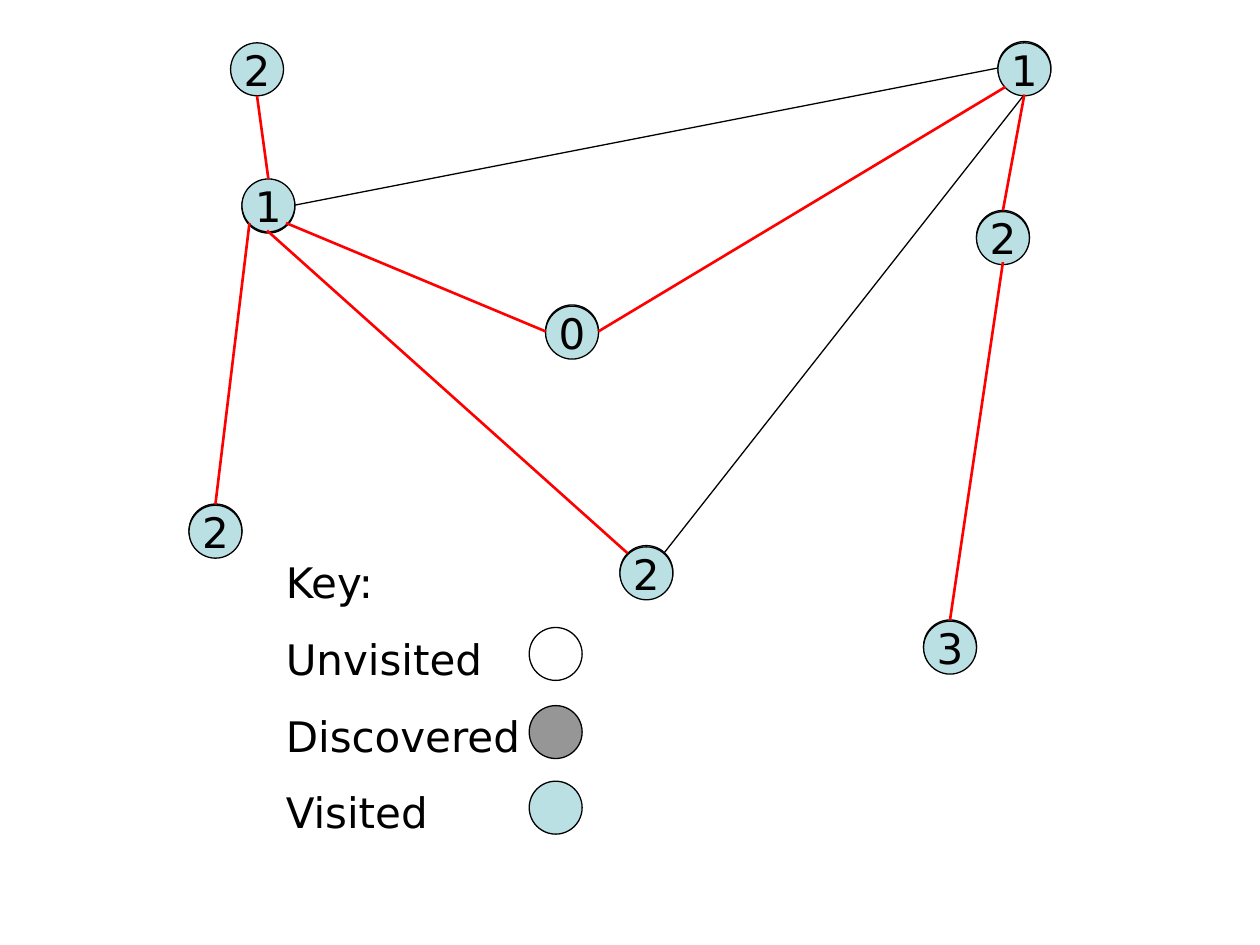
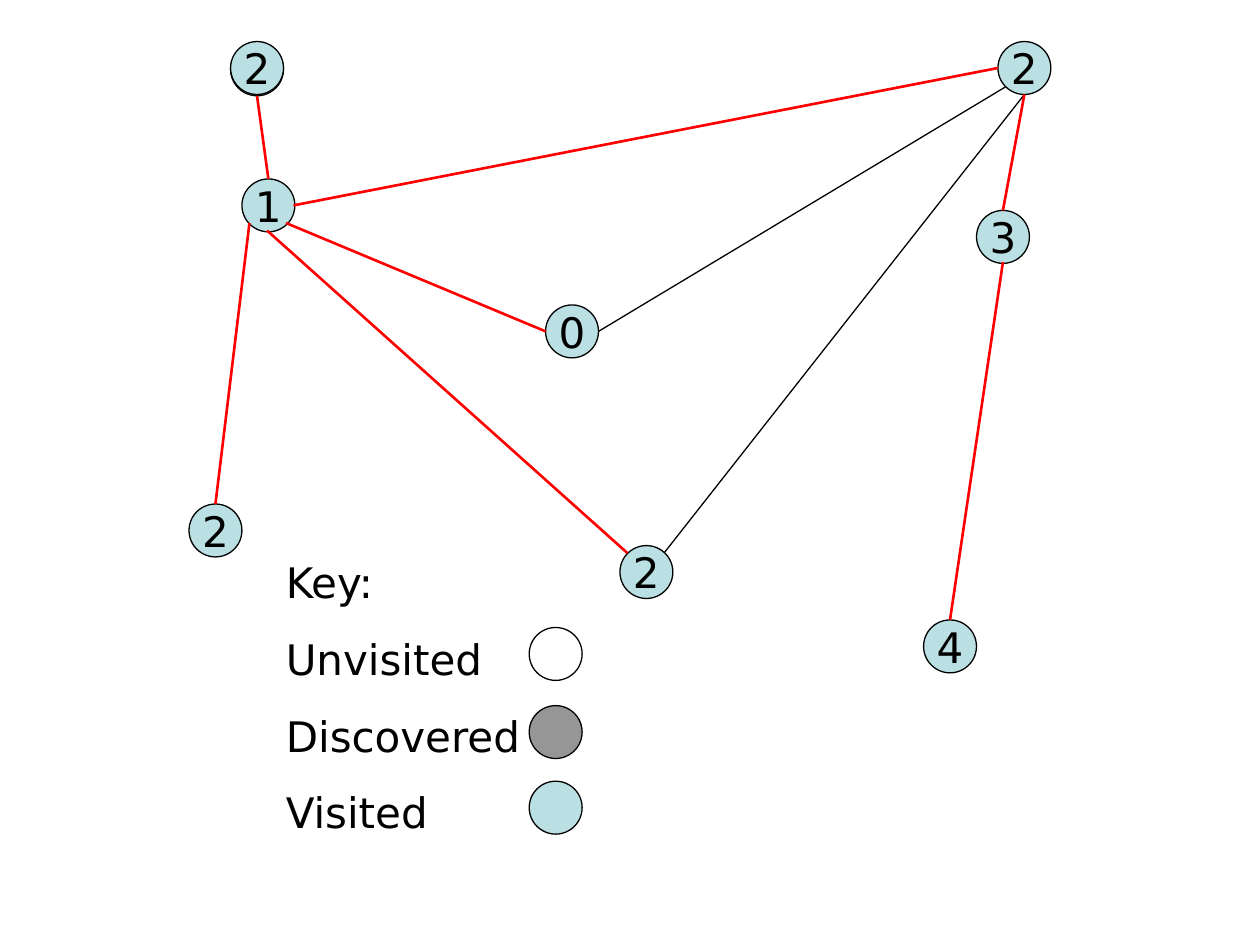
import pptx
import pptx.dml.color
import pptx.enum.shapes
import pptx.enum.text
import pptx.oxml.ns
import pptx.util
from lxml import etree

PX = 9144  # 100 px to the inch
BLACK = pptx.dml.color.RGBColor(0x00, 0x00, 0x00)
RED = pptx.dml.color.RGBColor(0xFF, 0x00, 0x00)
UNVISITED = pptx.dml.color.RGBColor(0xFF, 0xFF, 0xFF)
DISCOVERED = pptx.dml.color.RGBColor(0x96, 0x96, 0x96)
VISITED = pptx.dml.color.RGBColor(0xBB, 0xE0, 0xE3)
FONT = {"name": "DejaVu Sans", "size": pptx.util.Pt(24)}
DIAMETER = 42

NODES = {
    "start": (433, 242),
    "hub": (192, 142),
    "top left": (183, 33),
    "low left": (150, 400),
    "bottom": (492, 433),
    "top right": (792, 33),
    "right": (775, 167),
    "far": (733, 492),
}
EDGES = {
    ("hub", "bottom"): (212, 183, 498, 439),
    ("hub", "top right"): (233, 163, 792, 54),
    ("hub", "low left"): (198, 177, 171, 400),
    ("top right", "bottom"): (813, 75, 527, 439),
    ("hub", "start"): (227, 177, 433, 263),
    ("hub", "top left"): (213, 142, 204, 76),
    ("start", "top right"): (475, 263, 798, 69),
    ("top right", "right"): (813, 75, 796, 167),
    ("right", "far"): (796, 208, 754, 492),
}
KEY = [("Unvisited", UNVISITED, 498), ("Discovered", DISCOVERED, 560), ("Visited", VISITED, 620)]

# Distances from the start, edges outside the search tree, the nodes drawn
# 1 px lower, and the earlier states whose rims show behind the nodes.
SEARCHES = [
    {
        "distances": {"start": 0, "hub": 1, "top left": 2, "low left": 2,
                      "bottom": 2, "top right": 1, "right": 2, "far": 3},
        "unused": [("hub", "top right"), ("top right", "bottom")],
        "lowered": set(NODES) - {"hub"},
        "rims": {"start": UNVISITED, "top right": UNVISITED, "bottom": UNVISITED,
                 "far": UNVISITED, "right": UNVISITED, "hub": DISCOVERED,
                 "low left": DISCOVERED},
    },
    {
        "distances": {"start": 0, "hub": 1, "top left": 2, "low left": 2,
                      "bottom": 2, "top right": 2, "right": 3, "far": 4},
        "unused": [("start", "top right"), ("top right", "bottom")],
        "lowered": set(),
        "rims": {"top left": UNVISITED},
    },
]


def add_circle(page, left, top, color):
    circle = page.shapes.add_shape(
        pptx.enum.shapes.MSO_SHAPE.OVAL, left * PX, top * PX, DIAMETER * PX, DIAMETER * PX)
    circle.shadow.inherit = False
    circle.fill.solid()
    circle.fill.fore_color.rgb = color
    circle.line.color.rgb = BLACK
    circle.line.width = pptx.util.Pt(0.75)
    return circle


def write(para, text):
    span = para.add_run()
    span.text = text
    for name, value in FONT.items():
        setattr(span.font, name, value)
    span.font.color.rgb = BLACK


deck = pptx.Presentation()
deck.slide_width, deck.slide_height = 1000 * PX, 750 * PX

for search in SEARCHES:
    page = deck.slides.add_slide(deck.slide_layouts[6])
    tree = [edge for edge in EDGES if edge not in search["unused"]]

    for layer, color, width in ((search["unused"], BLACK, 0.75), (tree, RED, 1.5)):
        for edge in layer:
            line = page.shapes.add_connector(
                pptx.enum.shapes.MSO_CONNECTOR.STRAIGHT, *(length * PX for length in EDGES[edge]))
            line.line.color.rgb = color
            line.line.width = pptx.util.Pt(width)
            etree.SubElement(line._element.spPr, pptx.oxml.ns.qn("a:effectLst"))
        if layer is tree:
            continue

        # Nodes and key lie above the unused edges and below the tree.
        for node, state in search["rims"].items():
            left, top = NODES[node]
            add_circle(page, left, top + (node not in search["lowered"]), state)
        for node, (left, top) in NODES.items():
            circle = add_circle(page, left, top + (node in search["lowered"]), VISITED)
            frame = circle.text_frame
            frame.word_wrap = False
            frame.vertical_anchor = pptx.enum.text.MSO_ANCHOR.MIDDLE
            para = frame.paragraphs[0]
            para.alignment = pptx.enum.text.PP_ALIGN.CENTER
            write(para, str(search["distances"][node]))

        box = page.shapes.add_textbox(217 * PX, 437 * PX, 217 * PX, 233 * PX)
        box.text_frame.word_wrap = True
        write(box.text_frame.paragraphs[0], "Key:")
        for label, state, top in KEY:
            para = box.text_frame.add_paragraph()
            para.space_before = pptx.util.Pt(15)
            write(para, label)
            add_circle(page, 420, top, state)

deck.save("out.pptx")
